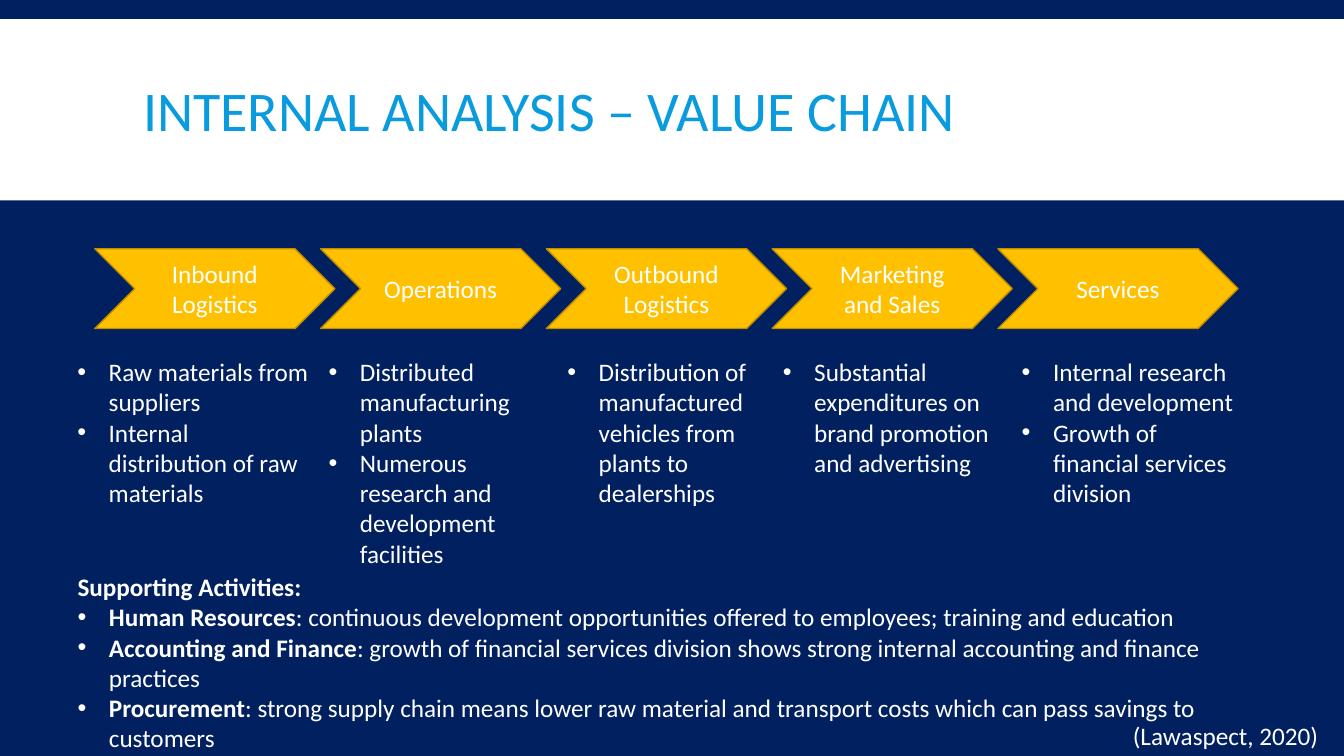
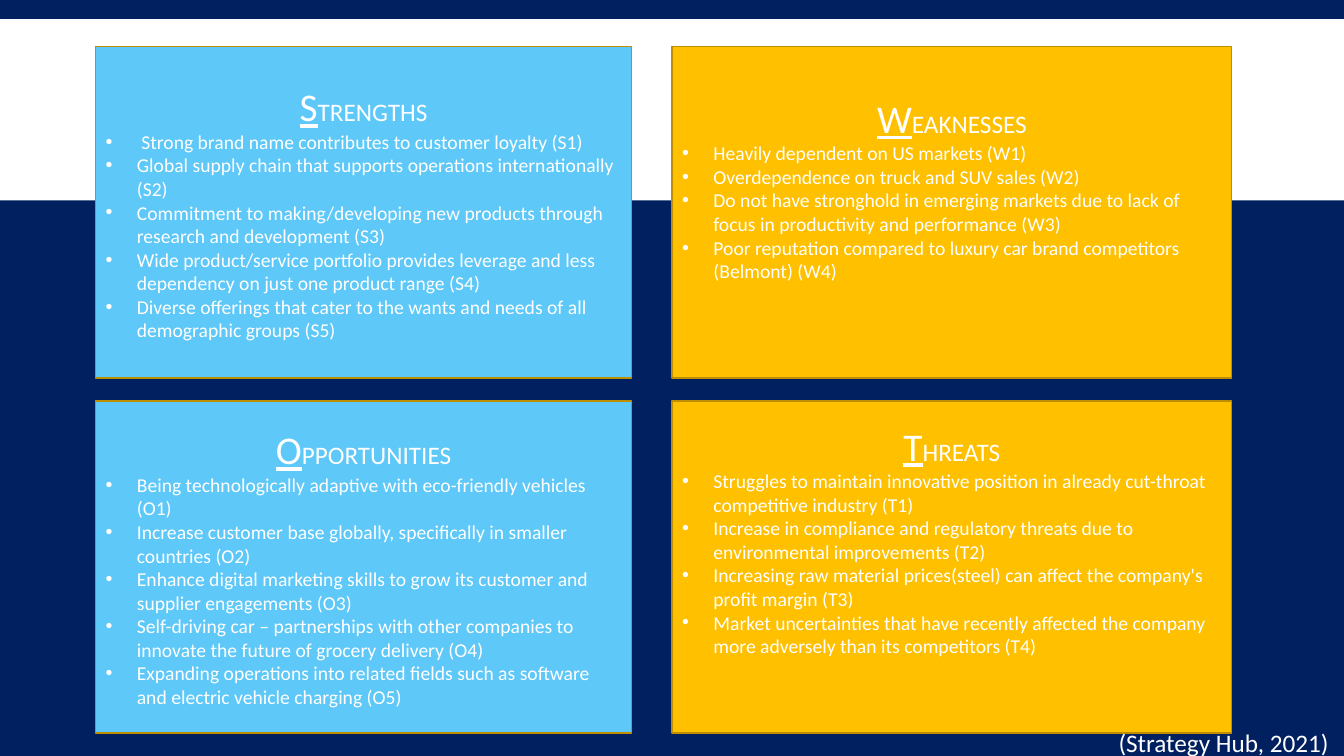
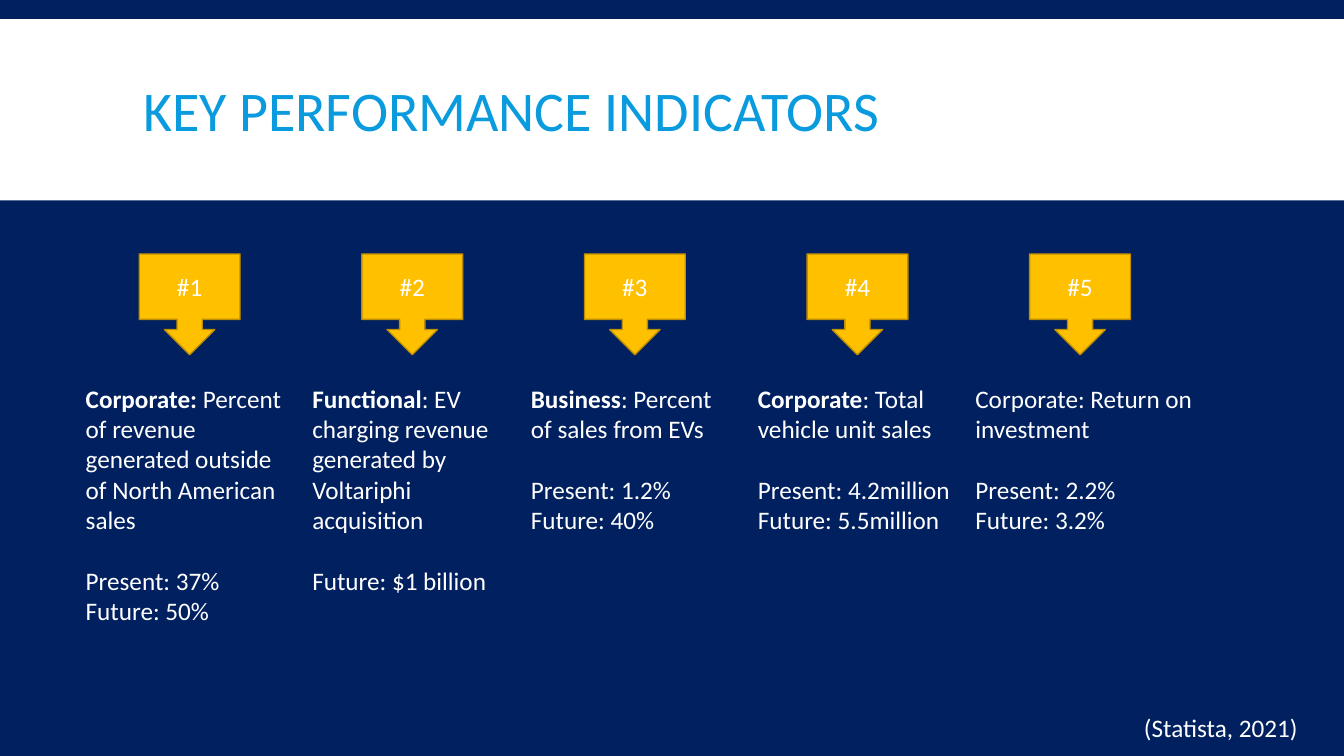
from dataclasses import dataclass
from typing import Optional

from lxml import etree
from pptx import Presentation
from pptx.dml.color import RGBColor
from pptx.enum import shapes, text
from pptx.oxml import ns
from pptx.util import Cm, Pt


@dataclass(frozen=True)
class Theme:
    navy: RGBColor = RGBColor(0x00, 0x20, 0x60)
    white: RGBColor = RGBColor(0xFF, 0xFF, 0xFF)
    title_blue: RGBColor = RGBColor(0x09, 0x9B, 0xDD)
    sky: RGBColor = RGBColor(0x5E, 0xC8, 0xF8)
    gold: RGBColor = RGBColor(0xFF, 0xC0, 0x00)
    outline: RGBColor = RGBColor(0xBD, 0x8E, 0x00)
    font: str = "Calibri"
    title: Pt = Pt(40)
    initial: Pt = Pt(28)
    body: Pt = Pt(18)
    small: Pt = Pt(14)


@dataclass(frozen=True)
class Area:
    """A rectangle on the page, in centimetres."""
    left: float
    top: float
    width: float
    height: float

    def lengths(self) -> tuple:
        return Cm(self.left), Cm(self.top), Cm(self.width), Cm(self.height)


@dataclass(frozen=True)
class Line:
    """One paragraph: a bold lead, then plain wording."""
    wording: str
    lead: str = ""
    bullet: bool = False
    space_before: float = 0


@dataclass(frozen=True)
class Column:
    heading: str
    left: float
    width: float
    height: float
    lines: list


@dataclass(frozen=True)
class Quadrant:
    heading: str
    points: list
    bottom_inset: float = 0.13


THEME = Theme()
PAGE_WIDTH, PAGE_HEIGHT = 33.87, 19.05
BAND = Area(0, 0.48, PAGE_WIDTH, 4.57)
TITLE = Area(3.35, 0.79, 27.18, 4.19)
HANGING = Cm(0.79)


def bullets(*wordings: str) -> list:
    return [Line(wording, bullet=True) for wording in wordings]


def indicator(lead: str, wording: str, *values: str) -> list:
    """Name an indicator, then list its values after a gap of one line."""
    gaps = [22] + [0] * (len(values) - 1)
    return [Line(wording, lead)] + [
        Line(value, space_before=gap) for value, gap in zip(values, gaps)]


CHAIN = [
    Column("Inbound Logistics", 1.7, 6.32, 4.11, bullets(
        "Raw materials from suppliers",
        "Internal distribution of raw materials")),
    Column("Operations", 8.03, 6.05, 5.64, bullets(
        "Distributed manufacturing plants",
        "Numerous research and development facilities")),
    Column("Outbound Logistics", 14.05, 5.44, 4.11, bullets(
        "Distribution of manufactured vehicles from plants to dealerships")),
    Column("Marketing and Sales", 19.48, 5.69, 4.11, bullets(
        "Substantial expenditures on brand promotion and advertising")),
    Column("Services", 25.5, 6.05, 4.11, bullets(
        "Internal research and development",
        "Growth of financial services division")),
]

SUPPORT = [
    Line("", "Supporting Activities:"),
    Line(": continuous development opportunities offered to employees; "
         "training and education", "Human Resources", True),
    Line(": growth of financial services division shows strong internal "
         "accounting and finance practices", "Accounting and Finance", True),
    Line(": strong supply chain means lower raw material and transport costs "
         "which can pass savings to customers", "Procurement", True),
]

SWOT = [
    Quadrant("STRENGTHS", bullets(
        " Strong brand name contributes to customer loyalty (S1)",
        "Global supply chain that supports operations internationally (S2)",
        "Commitment to making/developing new products through research and "
        "development (S3)",
        "Wide product/service portfolio provides leverage and less dependency "
        "on just one product range (S4)",
        "Diverse offerings that cater to the wants and needs of all "
        "demographic groups (S5)")),
    Quadrant("WEAKNESSES", bullets(
        "Heavily dependent on US markets (W1)",
        "Overdependence on truck and SUV sales (W2)",
        "Do not have stronghold in emerging markets due to lack of focus in "
        "productivity and performance (W3)",
        "Poor reputation compared to luxury car brand competitors "
        "(Belmont) (W4)"), 1.33),
    Quadrant("OPPORTUNITIES", bullets(
        "Being technologically adaptive with eco-friendly vehicles (O1)",
        "Increase customer base globally, specifically in smaller countries "
        "(O2)",
        "Enhance digital marketing skills to grow its customer and supplier "
        "engagements (O3)",
        "Self-driving car – partnerships with other companies to innovate the "
        "future of grocery delivery (O4)",
        "Expanding operations into related fields such as software and "
        "electric vehicle charging (O5)")),
    Quadrant("THREATS", bullets(
        "Struggles to maintain innovative position in already cut-throat "
        "competitive industry (T1)",
        "Increase in compliance and regulatory threats due to environmental "
        "improvements (T2)",
        "Increasing raw material prices(steel) can affect the company's "
        "profit margin (T3)",
        "Market uncertainties that have recently affected the company more "
        "adversely than its competitors (T4)"), 1.5),
]

INDICATORS = [
    Column("#1", 1.91, 5.72, 6.4, indicator(
        "Corporate:",
        " Percent of revenue generated outside of North American sales",
        "Present: 37%", "Future: 50%")),
    Column("#2", 7.62, 5.51, 5.64, indicator(
        "Functional", ": EV charging revenue generated by Voltariphi acquisition",
        "Future: $1 billion")),
    Column("#3", 13.13, 5.72, 4.11, indicator(
        "Business", ": Percent of sales from EVs",
        "Present: 1.2%", "Future: 40%")),
    Column("#4", 18.85, 5.51, 4.11, indicator(
        "Corporate", ": Total vehicle unit sales",
        "Present: 4.2million", "Future: 5.5million")),
    Column("#5", 24.33, 6.17, 4.11, indicator(
        "", "Corporate: Return on investment",
        "Present: 2.2%", "Future: 3.2%")),
]


def set_font(para, size: Pt, color: RGBColor = THEME.white) -> None:
    para.font.name = THEME.font
    para.font.size = size
    para.font.color.rgb = color


def set_bullet(para, shown: bool) -> None:
    properties = para._p.get_or_add_pPr()
    properties.set("marL", str(HANGING if shown else 0))
    properties.set("indent", str(-HANGING if shown else 0))
    if shown:
        face = etree.SubElement(properties, ns.qn("a:buFont"))
        face.set("typeface", "Arial")
        etree.SubElement(properties, ns.qn("a:buChar")).set("char", "•")
    else:
        etree.SubElement(properties, ns.qn("a:buNone"))


def write_lines(frame, lines: list, size: Pt = THEME.body) -> None:
    """Fill the frame, going on after any paragraph that already has text."""
    for line in lines:
        first = frame.paragraphs[0]
        para = frame.add_paragraph() if first.runs else first
        set_bullet(para, line.bullet)
        para.alignment = text.PP_ALIGN.LEFT
        para.space_before = Pt(line.space_before)
        set_font(para, size)
        if line.lead:
            span = para.add_run()
            span.text = line.lead
            span.font.bold = True
        if line.wording:
            para.add_run().text = line.wording


def add_text(page, area: Area, lines: list) -> None:
    frame = page.shapes.add_textbox(*area.lengths()).text_frame
    frame.word_wrap = True
    write_lines(frame, lines)


def add_source(page, left: float, top: float, wording: str) -> None:
    area = Area(left, top, PAGE_WIDTH - left, min(1.02, PAGE_HEIGHT - top))
    add_text(page, area, [Line(wording)])


def add_block(page, kind, area: Area, fill: RGBColor,
              outline: Optional[RGBColor] = THEME.outline):
    block = page.shapes.add_shape(kind, *area.lengths())
    block.shadow.inherit = False
    block.fill.solid()
    block.fill.fore_color.rgb = fill
    if outline is None:
        block.line.fill.background()
    else:
        block.line.color.rgb = outline
        block.line.width = Pt(1)
    return block


def add_label(page, kind, area: Area, wording: str) -> None:
    frame = add_block(page, kind, area, THEME.gold).text_frame
    para = frame.paragraphs[0]
    para.text = wording
    para.alignment = text.PP_ALIGN.CENTER
    set_font(para, THEME.body)


def place(holder, area: Area) -> None:
    holder.left, holder.top, holder.width, holder.height = area.lengths()


def style_master(deck, page) -> None:
    """Give the master the background, the band and the title position."""
    master = deck.slide_master
    master.background.fill.solid()
    master.background.fill.fore_color.rgb = THEME.navy
    for holder in master.placeholders:
        if holder.placeholder_format.type == shapes.PP_PLACEHOLDER.TITLE:
            place(holder, TITLE)
    band = add_block(page, shapes.MSO_SHAPE.RECTANGLE, BAND, THEME.white, None)
    master.shapes.element.insert(2, band.element)


def set_title(page, wording: str) -> None:
    para = page.shapes.title.text_frame.paragraphs[0]
    para.text = wording
    para.alignment = text.PP_ALIGN.LEFT
    para.line_spacing = 0.85
    set_font(para, THEME.title, THEME.title_blue)


def build_value_chain(page) -> None:
    set_title(page, "INTERNAL ANALYSIS – VALUE CHAIN")
    for index, column in enumerate(CHAIN):
        add_label(page, shapes.MSO_SHAPE.CHEVRON,
                  Area(2.39 + 5.69 * index, 6.27, 6.05, 2.01), column.heading)
        add_text(page, Area(column.left, 8.86, column.width, column.height),
                 column.lines)
    support = page.placeholders[1]
    place(support, Area(1.7, 14.27, 29.85, 4.78))
    support.text_frame.auto_size = text.MSO_AUTO_SIZE.NONE
    write_lines(support.text_frame, SUPPORT)
    add_source(page, 28.3, 18.03, "(Lawaspect, 2020)")


def add_quadrant(page, quadrant: Quadrant, area: Area, fill: RGBColor) -> None:
    frame = add_block(page, shapes.MSO_SHAPE.RECTANGLE, area, fill).text_frame
    frame.margin_bottom = Cm(quadrant.bottom_inset)
    heading = frame.paragraphs[0]
    heading.alignment = text.PP_ALIGN.CENTER
    set_font(heading, THEME.body)
    initial = heading.add_run()
    initial.text = quadrant.heading[0]
    initial.font.size = THEME.initial
    initial.font.underline = True
    heading.add_run().text = quadrant.heading[1:]
    write_lines(frame, quadrant.points, THEME.small)


def build_swot(page) -> None:
    sides = [(2.41, 13.51, THEME.sky), (16.94, 14.1, THEME.gold)]
    for index, quadrant in enumerate(SWOT):
        row, side = divmod(index, 2)
        left, width, fill = sides[side]
        add_quadrant(page, quadrant, Area(left, 1.17 + 8.94 * row, width, 8.36),
                     fill)
    add_source(page, 27.94, 18.21, "(Strategy Hub, 2021)")


def build_indicators(page) -> None:
    set_title(page, "KEY PERFORMANCE INDICATORS")
    for index, column in enumerate(INDICATORS):
        add_label(page, shapes.MSO_SHAPE.DOWN_ARROW_CALLOUT,
                  Area(3.51 + 5.61 * index, 6.4, 2.54, 2.54), column.heading)
        add_text(page, Area(column.left, 9.53, column.width, column.height),
                 column.lines)
    add_source(page, 28.58, 17.83, "(Statista, 2021)")


def main() -> None:
    deck = Presentation()
    deck.slide_width, deck.slide_height = Cm(PAGE_WIDTH), Cm(PAGE_HEIGHT)
    title_and_content, title_only, blank = (
        deck.slide_layouts[index] for index in (1, 5, 6))
    chain_page = deck.slides.add_slide(title_and_content)
    style_master(deck, chain_page)
    build_value_chain(chain_page)
    build_swot(deck.slides.add_slide(blank))
    build_indicators(deck.slides.add_slide(title_only))
    deck.save("out.pptx")


if __name__ == "__main__":
    main()
